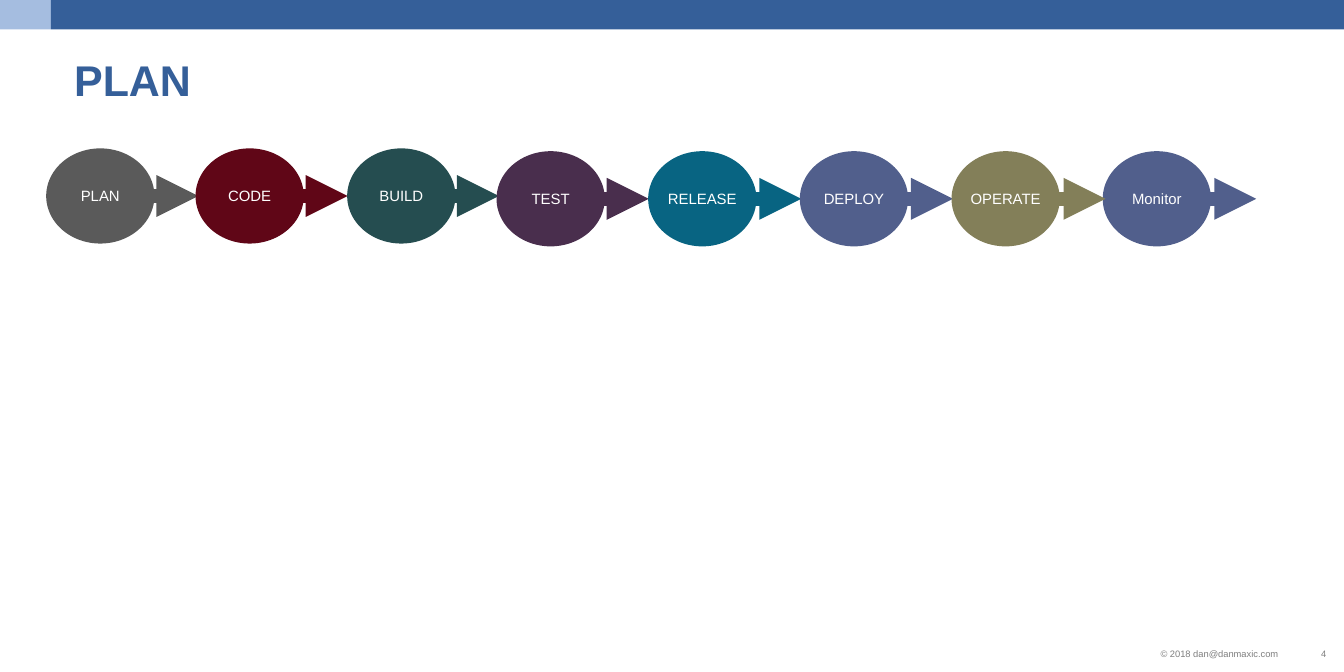
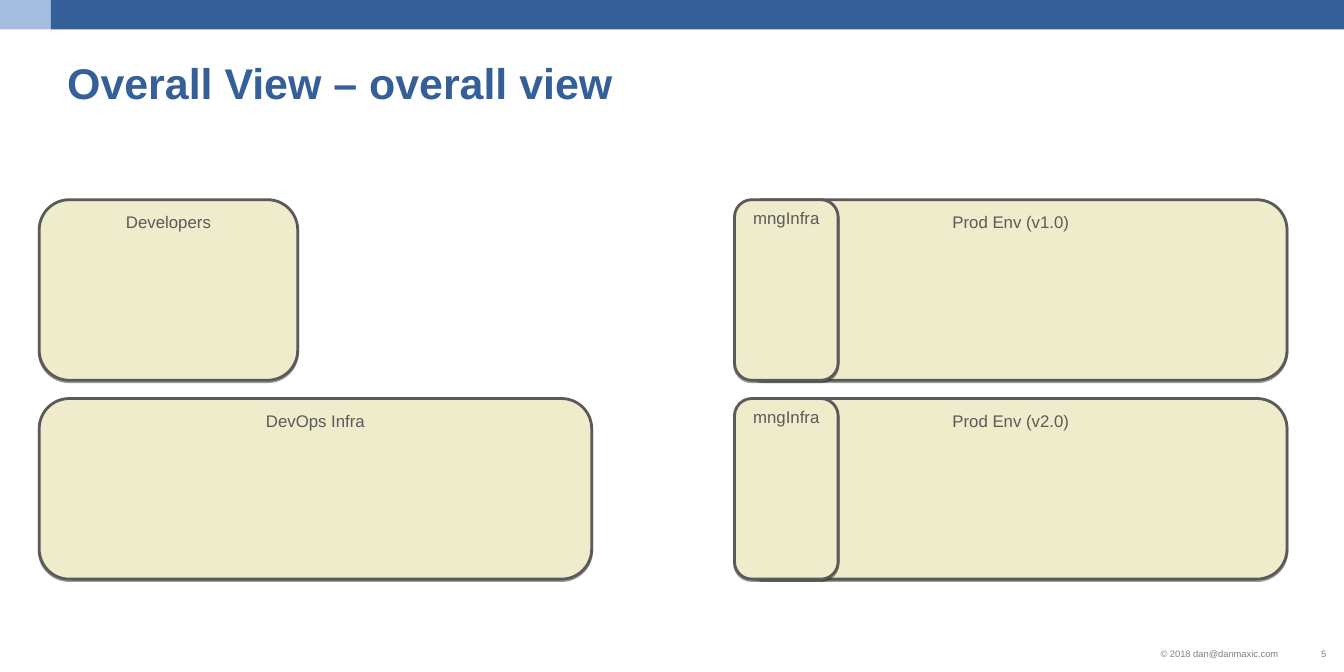
from dataclasses import dataclass
from typing import Optional

import lxml.etree
import pptx
import pptx.dml.color
import pptx.enum.shapes
import pptx.enum.text
import pptx.oxml.ns
import pptx.util

Pt = pptx.util.Pt
SHAPE = pptx.enum.shapes.MSO_SHAPE
ALIGN = pptx.enum.text.PP_ALIGN
ANCHOR = pptx.enum.text.MSO_ANCHOR
qn = pptx.oxml.ns.qn


@dataclass(frozen=True)
class Theme:
    font: str = "Arial"
    blue: str = "355F99"
    light_blue: str = "A5BDE0"
    footer: str = "7F7F7F"
    grey: str = "5A5A5A"
    cream: str = "EEECCB"
    white: str = "FFFFFF"
    title_size: float = 46
    panel_size: float = 18
    stage_size: float = 16
    footer_size: float = 10


@dataclass(frozen=True)
class Box:
    left: float
    top: float
    width: float
    height: float


@dataclass(frozen=True)
class TextStyle:
    size: float
    color: str
    bold: bool = False
    align: ALIGN = ALIGN.LEFT
    anchor: ANCHOR = ANCHOR.TOP
    margin_x: float = 0
    margin_y: float = 0
    wrap: bool = True


@dataclass(frozen=True)
class Stage:
    label: str
    color: str
    left: float
    top: float
    arrow_left: float


@dataclass(frozen=True)
class Panel:
    label: str
    left: float
    top: float
    width: float


T = Theme()
TITLE = TextStyle(T.title_size, T.blue, bold=True)
COPYRIGHT = TextStyle(T.footer_size, T.footer, align=ALIGN.RIGHT,
                      margin_x=7.2, margin_y=3.6, wrap=False)
PAGE_NUMBER = TextStyle(T.footer_size, T.footer, align=ALIGN.RIGHT,
                        anchor=ANCHOR.MIDDLE, margin_x=7.2, margin_y=3.6)
STAGE_LABEL = TextStyle(T.stage_size, T.white, align=ALIGN.CENTER,
                        anchor=ANCHOR.MIDDLE)
PANEL_LABEL = TextStyle(T.panel_size, T.grey, align=ALIGN.CENTER,
                        margin_x=7.2, margin_y=3.6)

# Pipeline: the arrow of OPERATE lies over the Monitor circle
STAGE_W, STAGE_H, ARROW_LENGTH = 116, 102, 57
UPPER, LOWER = 159, 162
STAGES = (
    Stage("PLAN", T.grey, 49.5, UPPER, 155.5),
    Stage("CODE", "600617", 209.5, UPPER, 315.5),
    Stage("BUILD", "254D50", 372, UPPER, 477.5),
    Stage("TEST", "492E4D", 532, LOWER, 638),
    Stage("RELEASE", "086482", 694.5, LOWER, 801.5),
    Stage("DEPLOY", "515F8C", 857, LOWER, 964),
    Stage("Monitor", "515F8C", 1181.5, LOWER, 1289),
    Stage("OPERATE", "837F59", 1019.5, LOWER, 1127.5),
)

# Environments: two rows, a left and a right column
PANEL_H, PANEL_W = 193.5, 592
LEFT, RIGHT = 42, 787
ROW_1, ROW_2 = 214, 427
PANELS = (
    Panel("Developers", LEFT, ROW_1, 277),
    Panel("DevOps Infra", LEFT, ROW_2, PANEL_W),
    Panel("Prod Env (v1.0)", RIGHT, ROW_1, PANEL_W),
    Panel("Prod Env (v2.0)", RIGHT, ROW_2, PANEL_W),
    Panel("mngInfra", RIGHT, ROW_1, 111),
    Panel("mngInfra", RIGHT, ROW_2, 111),
)


def rgb(color: str) -> pptx.dml.color.RGBColor:
    return pptx.dml.color.RGBColor.from_string(color)


def place(box: Box) -> tuple:
    return Pt(box.left), Pt(box.top), Pt(box.width), Pt(box.height)


def set_text(sp, text: str, style: TextStyle) -> None:
    tf = sp.text_frame
    tf.text = text
    tf.word_wrap = style.wrap
    tf.vertical_anchor = style.anchor
    tf.margin_left = tf.margin_right = Pt(style.margin_x)
    tf.margin_top = tf.margin_bottom = Pt(style.margin_y)
    p = tf.paragraphs[0]
    p.alignment = style.align
    r = p.runs[0]
    r.font.name = T.font
    r.font.size = Pt(style.size)
    r.font.bold = style.bold
    r.font.color.rgb = rgb(style.color)


def add_text(s, box: Box, text: str, style: TextStyle) -> None:
    set_text(s.shapes.add_textbox(*place(box)), text, style)


def add_shape(s, kind: SHAPE, box: Box, fill: str, line: Optional[str] = None):
    sp = s.shapes.add_shape(kind, *place(box))
    sp.shadow.inherit = False
    sp.fill.solid()
    sp.fill.fore_color.rgb = rgb(fill)
    if line:
        sp.line.color.rgb = rgb(line)
        sp.line.width = Pt(3)
    else:
        sp.line.fill.background()
    return sp


def add_drop_shadow(sp) -> None:
    effects = sp.element.spPr.find(qn("a:effectLst"))
    shadow = lxml.etree.SubElement(effects, qn("a:outerShdw"), blurRad="0",
                                   dist=str(Pt(1.6)), dir="5400000",
                                   rotWithShape="0")
    color = lxml.etree.SubElement(shadow, qn("a:srgbClr"), val="000000")
    lxml.etree.SubElement(color, qn("a:alpha"), val="38000")


def add_arrow(s, left: float, y: float, color: str) -> None:
    c = s.shapes.add_connector(pptx.enum.shapes.MSO_CONNECTOR.STRAIGHT,
                               Pt(left), Pt(y), Pt(left + ARROW_LENGTH), Pt(y))
    c.line.color.rgb = rgb(color)
    c.line.width = Pt(15)
    lxml.etree.SubElement(c.line._get_or_add_ln(), qn("a:tailEnd"), type="triangle")
    lxml.etree.SubElement(c.element.spPr, qn("a:effectLst"))


def add_stage(s, stage: Stage) -> None:
    box = Box(stage.left, stage.top, STAGE_W, STAGE_H)
    set_text(add_shape(s, SHAPE.OVAL, box, stage.color), stage.label, STAGE_LABEL)
    add_arrow(s, stage.arrow_left, stage.top + STAGE_H / 2, stage.color)


def add_panel(s, panel: Panel) -> None:
    box = Box(panel.left, panel.top, panel.width, PANEL_H)
    sp = add_shape(s, SHAPE.ROUNDED_RECTANGLE, box, T.cream, T.grey)
    add_drop_shadow(sp)
    set_text(sp, panel.label, PANEL_LABEL)


def add_slide(prs, title: str, left: float, top: float, number: int):
    """Blank slide with the shared footer, bands and title."""
    s = prs.slides.add_slide(prs.slide_layouts[6])
    add_text(s, Box(1236, 691, 140.5, 19.5), "© 2018 dan@danmaxic.com", COPYRIGHT)
    add_text(s, Box(1395.5, 691, 32.5, 19.5), str(number), PAGE_NUMBER)
    add_shape(s, SHAPE.RECTANGLE, Box(0, 0, 54.5, 31.5), T.light_blue)
    add_shape(s, SHAPE.RECTANGLE, Box(54.5, 0, 1385.5, 31.5), T.blue)
    add_text(s, Box(left, top, 1296, 57.5), title, TITLE)
    return s


def main() -> None:
    prs = pptx.Presentation()
    prs.slide_width, prs.slide_height = Pt(1440), Pt(720)

    # Pipeline slide
    s = add_slide(prs, "PLAN", 79.5, 57.5, 4)
    for stage in STAGES:
        add_stage(s, stage)

    # Environments slide
    s = add_slide(prs, "Overall View – overall view", 72, 60.5, 5)
    for panel in PANELS:
        add_panel(s, panel)

    prs.save("out.pptx")


if __name__ == "__main__":
    main()
